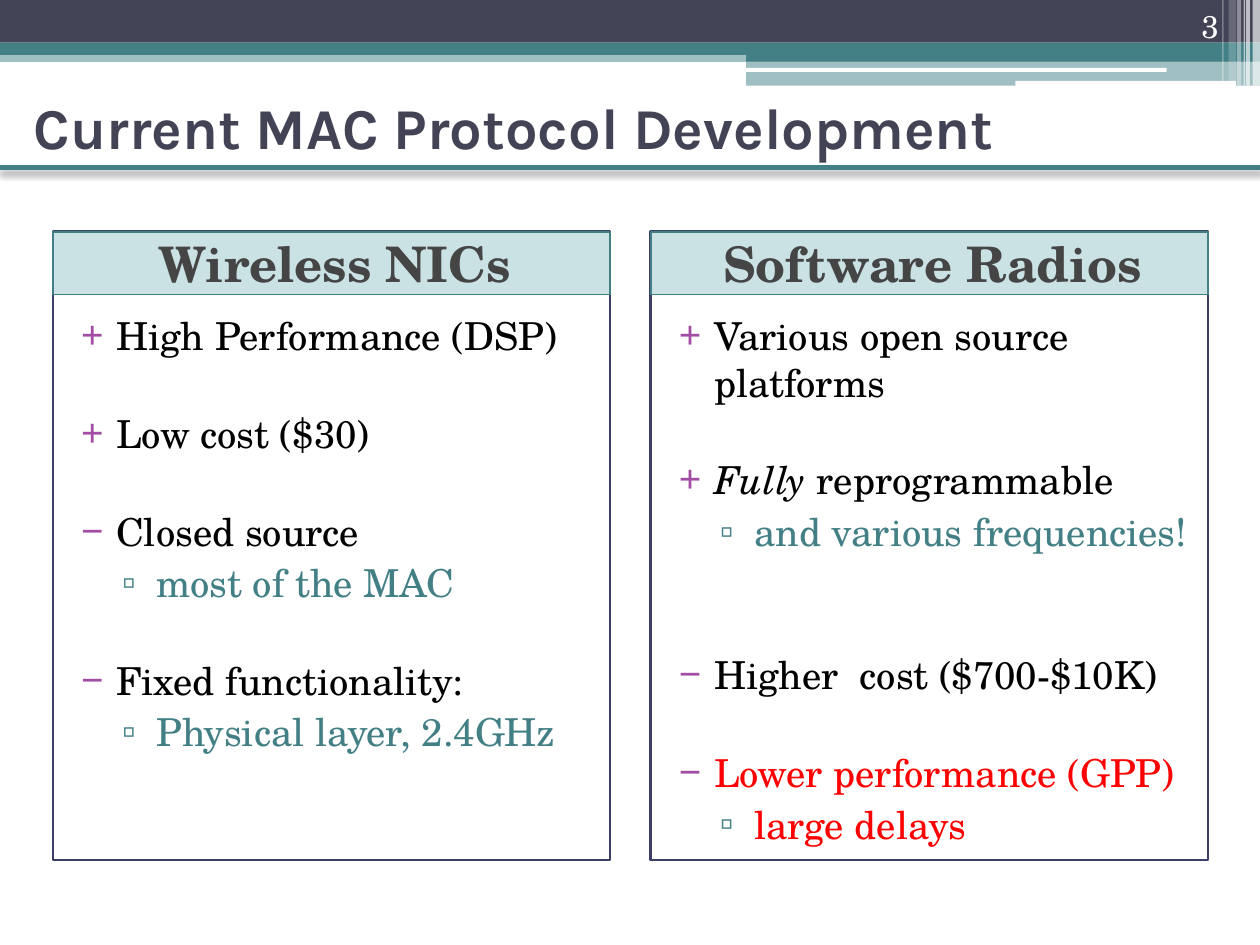
from dataclasses import dataclass

from lxml import etree
from pptx import Presentation
from pptx import util as u
from pptx.dml import color
from pptx.enum import shapes, text
from pptx.oxml import ns


@dataclass(frozen=True)
class Theme:
    """Colours, fonts and type sizes of the slide."""
    navy: str = "424456"
    teal: str = "438086"
    white: str = "FFFFFF"
    black: str = "000000"
    red: str = "FF0000"
    border: str = "3D3E66"
    header: str = "328E97"
    heading: str = "454545"
    marker: str = "A04DA3"
    title_font: str = "Karla"
    body_font: str = "TeX Gyre Schola"
    title_size: float = 33
    heading_size: float = 28
    body_size: float = 22
    number_size: float = 18
    space: float = 3
    blank_line: float = 26.4


THEME = Theme()
WIDTH, HEIGHT = 25.4, 19.05
MARGIN, PANEL_STEP = 1.07, 12.05
LEVELS = [(1.02, 0.71), (1.83, 0.69)]

NICS = [
    (0, "+", 0, THEME.black, [("High Performance (DSP)", False)]),
    (0, "+", 1, THEME.black, [("Low cost ($30)", False)]),
    (0, "−", 1, THEME.black, [("Closed source", False)]),
    (1, "▫", 0, THEME.teal, [("most of the MAC", False)]),
    (0, "−", 1, THEME.black, [("Fixed functionality:", False)]),
    (1, "▫", 0, THEME.teal, [("Physical layer, 2.4GHz", False)]),
]
RADIOS = [
    (0, "+", 0, THEME.black, [("Various open source platforms", False)]),
    (0, "+", 1, THEME.black, [("Fully", True), (" reprogrammable", False)]),
    (1, "▫", 0, THEME.teal, [("and various frequencies!", False)]),
    (0, "−", 2, THEME.black, [("Higher  cost ($700-$10K)", False)]),
    (0, "−", 1, THEME.red, [("Lower performance (GPP)", False)]),
    (1, "▫", 0, THEME.red, [("large delays", False)]),
]


def apply(target, **formats):
    """Set each named format value on the target."""
    for name, value in formats.items():
        setattr(target, name, value)


def element(parent, tag, **attributes):
    """Append a DrawingML element to the parent."""
    child = etree.SubElement(parent, ns.qn(tag))
    for name, value in attributes.items():
        child.set(name, str(value))
    return child


def place(shape, left, top, width, height):
    """Move and size a shape, in centimetres."""
    apply(shape, left=u.Cm(left), top=u.Cm(top), width=u.Cm(width), height=u.Cm(height))


def paint(shape, fill, opacity=100, line=None, weight=1):
    """Give a shape its fill, opacity and outline."""
    shape.fill.solid()
    shape.fill.fore_color.rgb = color.RGBColor.from_string(fill)
    if opacity < 100:
        solid = shape.fill._xPr.find(ns.qn("a:solidFill"))
        element(solid[0], "a:alpha", val=opacity * 1000)
    if line:
        shape.line.color.rgb = color.RGBColor.from_string(line)
        shape.line.width = u.Pt(weight)
    else:
        shape.line.fill.background()


def add_block(slide, box, fill, opacity=100, kind=shapes.MSO_SHAPE.RECTANGLE, **outline):
    """Add a flat shape in the given box."""
    shape = slide.shapes.add_shape(kind, *map(u.Cm, box))
    shape.shadow.inherit = False
    paint(shape, fill, opacity, **outline)


def set_frame(shape, anchor):
    """Set wrapping and anchoring of a text frame."""
    apply(shape.text_frame, word_wrap=True, auto_size=text.MSO_AUTO_SIZE.NONE,
          vertical_anchor=anchor)


def add_run(paragraph, words, font, size, rgb, bold=False, italic=False):
    """Add formatted words to a paragraph."""
    run = paragraph.add_run()
    run.text = words
    apply(run.font, name=font, size=u.Pt(size), bold=bold, italic=italic)
    run.font.color.rgb = color.RGBColor.from_string(rgb)


def bring_forward(slide, shape):
    """Put a placeholder in front of the shapes drawn so far."""
    slide.shapes._spTree.append(shape._element)


def add_banner(slide, left, top, width):
    """Draw the bands, stripes and page number across the top."""
    split = 15.04
    bands = [
        (0, 1.02, width, 0.23, THEME.teal, 50),
        (0, 0, width, 0.86, THEME.navy, 100),
        (0, 0.86, width, 0.25, THEME.teal, 100),
        (split, 0.99, width - split, 0.25, THEME.teal, 100),
        (split, 1.22, width - split, 0.51, THEME.teal, 50),
    ]
    for x, y, w, h, fill, opacity in bands:
        add_block(slide, (left + x, top + y, w, h), fill, opacity)
    for x, y, w, h in [(15.01, 1.37, 8.51, 0.08), (20.47, 1.63, 4.45, 0.1)]:
        add_block(slide, (left + x, top + y, w, h), THEME.white,
                  kind=shapes.MSO_SHAPE.ROUNDED_RECTANGLE)
    stripes = [(25.25, 0.15, 1.73, 65), (25.12, 0.08, 1.73, 65), (25.07, 0.03, 1.73, 60),
               (24.94, 0.08, 1.73, 40), (24.77, 0.15, 1.63, 20), (24.64, 0.03, 1.63, 30)]
    for x, w, h, opacity in stripes:
        add_block(slide, (left + x, top, w, h), THEME.white, opacity)
    number = slide.shapes.add_textbox(*map(u.Cm, (left + 22.71, top, 2.11, 1.02)))
    set_frame(number, text.MSO_ANCHOR.BOTTOM)
    paragraph = number.text_frame.paragraphs[0]
    paragraph.alignment = text.PP_ALIGN.RIGHT
    add_run(paragraph, "3", THEME.body_font, THEME.number_size, THEME.white)


def add_title(slide, left, top, width, height):
    """Place the title above its shadowed rule."""
    rule = slide.shapes.add_connector(shapes.MSO_CONNECTOR.STRAIGHT, 0, u.Cm(top + height),
                                      u.Cm(WIDTH), u.Cm(top + height))
    rule.line.color.rgb = color.RGBColor.from_string(THEME.teal)
    rule.line.width = u.Pt(2.5)
    effects = element(rule._element.spPr, "a:effectLst")
    shadow = element(effects, "a:outerShdw", blurRad=u.Pt(4), dist=u.Pt(2), dir=90 * 60000,
                     algn="t", rotWithShape=0)
    element(element(shadow, "a:srgbClr", val=THEME.black), "a:alpha", val=45000)
    title = slide.shapes.title
    bring_forward(slide, title)
    place(title, left, top, width, height)
    set_frame(title, text.MSO_ANCHOR.MIDDLE)
    paragraph = title.text_frame.paragraphs[0]
    paragraph.alignment = text.PP_ALIGN.LEFT
    add_run(paragraph, "Current MAC Protocol Development", THEME.title_font,
            THEME.title_size, THEME.navy, bold=True)


def add_list(body, items):
    """Fill a body placeholder with bulleted items."""
    for index, (level, bullet, gaps, rgb, runs) in enumerate(items):
        frame = body.text_frame
        paragraph = frame.add_paragraph() if index else frame.paragraphs[0]
        margin, hanging = LEVELS[level]
        properties = paragraph._p.get_or_add_pPr()
        apply(paragraph, level=level, alignment=text.PP_ALIGN.LEFT, space_after=u.Pt(0),
              space_before=u.Pt(THEME.space + gaps * THEME.blank_line if index else 0))
        properties.set("marL", str(u.Cm(margin)))
        properties.set("indent", str(-u.Cm(hanging)))
        marker = element(properties, "a:buClr")
        element(marker, "a:srgbClr", val=THEME.teal if level else THEME.marker)
        element(properties, "a:buChar", char=bullet)
        for words, italic in runs:
            add_run(paragraph, words, THEME.body_font, THEME.body_size, rgb, italic=italic)


def add_panel(slide, box, heading, body, name, items):
    """Draw one bordered panel with its heading and list."""
    left, top, width, height = box
    header_height, body_offset = 1.27, 1.5
    add_block(slide, box, THEME.white, line=THEME.border, weight=1.5)
    bring_forward(slide, heading)
    place(heading, left, top, width, header_height)
    paint(heading, THEME.header, 25, line=THEME.teal)
    set_frame(heading, text.MSO_ANCHOR.MIDDLE)
    paragraph = heading.text_frame.paragraphs[0]
    apply(paragraph, alignment=text.PP_ALIGN.CENTER, space_before=u.Pt(0))
    paragraph._p.get_or_add_pPr().set("marL", str(u.Cm(0.13)))
    add_run(paragraph, name, THEME.body_font, THEME.heading_size, THEME.heading, bold=True)
    bring_forward(slide, body)
    place(body, left, top + body_offset, width, height - body_offset)
    set_frame(body, text.MSO_ANCHOR.TOP)
    add_list(body, items)


def main():
    """Build and save the slide."""
    presentation = Presentation()
    apply(presentation, slide_width=u.Cm(WIDTH), slide_height=u.Cm(HEIGHT))
    slide = presentation.slides.add_slide(presentation.slide_layouts.get_by_name("Comparison"))
    holders = list(slide.placeholders)
    add_banner(slide, 0, 0, WIDTH)
    add_title(slide, 0.43, 1.7, 22.86, 1.68)
    for column, (name, items) in enumerate([("Wireless NICs", NICS), ("Software Radios", RADIOS)]):
        heading, body = holders[1 + 2 * column:3 + 2 * column]
        box = (MARGIN + column * PANEL_STEP, 4.67, 11.23, 12.67)
        add_panel(slide, box, heading, body, name, items)
    presentation.save("out.pptx")


if __name__ == "__main__":
    main()
